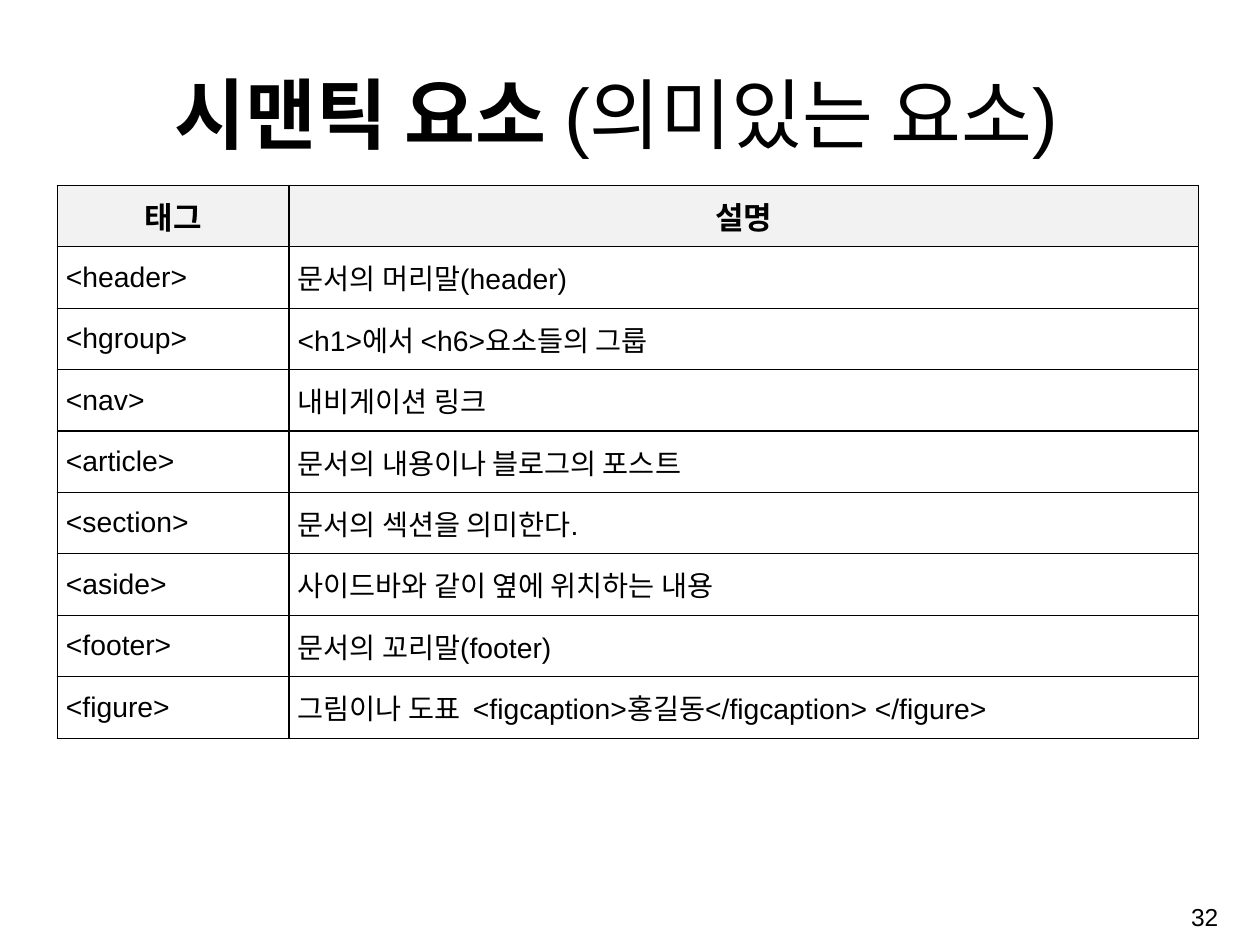
from lxml.etree import SubElement
from pptx import Presentation
from pptx.dml.color import RGBColor
from pptx.enum.text import MSO_ANCHOR as Anchor, MSO_AUTO_SIZE as AutoSize, PP_ALIGN as Align
from pptx.oxml.ns import qn
from pptx.util import Inches, Pt

TITLE_RUNS = [("시맨틱 요소 ", True), ("(의미있는 요소)", False)]
HEADINGS = ("태그", "설명")
TAGS = [
    ("<header>", "문서의 머리말(header)"),
    ("<hgroup>", "<h1>에서 <h6>요소들의 그룹"),
    ("<nav>", "내비게이션 링크"),
    ("<article>", "문서의 내용이나 블로그의 포스트"),
    ("<section>", "문서의 섹션을 의미한다."),
    ("<aside>", "사이드바와 같이 옆에 위치하는 내용"),
    ("<footer>", "문서의 꼬리말(footer)"),
    ("<figure>", "그림이나 도표  <figcaption>홍길동</figcaption> </figure>"),
]


def color(value):
    return RGBColor.from_string(value)


class SlideBuilder:
    font = "Arial"
    ink = "000000"
    header_fill = "F2F2F2"

    def __init__(self, page):
        self.page = page

    def style(self, span, size, bold=False):
        span.font.name = self.font
        span.font.size = Pt(size)
        span.font.bold = bold
        span.font.color.rgb = color(self.ink)

    def title(self, runs, left, top, width, height, size):
        box = self.page.shapes.title
        box.left, box.top = Inches(left), Inches(top)
        box.width, box.height = Inches(width), Inches(height)
        frame = box.text_frame
        frame.auto_size = AutoSize.NONE
        frame.vertical_anchor = Anchor.BOTTOM
        para = frame.paragraphs[0]
        para.alignment = Align.CENTER
        for text, bold in runs:
            span = para.add_run()
            span.text = text
            self.style(span, size, bold)

    def label(self, text, left, top, width, height, size, align):
        box = self.page.shapes.add_textbox(Inches(left), Inches(top), Inches(width), Inches(height))
        frame = box.text_frame
        frame.word_wrap = True
        frame.vertical_anchor = Anchor.MIDDLE
        frame.text = text
        para = frame.paragraphs[0]
        para.alignment = align
        self.style(para.runs[0], size)

    def borders(self, cell, width=1):
        """Draw all four sides; lines must precede the fill in the cell properties."""
        properties = cell._tc.get_or_add_tcPr()
        for side in ("lnL", "lnR", "lnT", "lnB"):
            line = SubElement(properties, qn(f"a:{side}"), w=str(Pt(width)))
            fill = SubElement(line, qn("a:solidFill"))
            SubElement(fill, qn("a:srgbClr"), val=self.ink)

    def cell(self, cell, text, heading):
        cell.margin_left = cell.margin_right = Inches(0.09)
        cell.margin_top = cell.margin_bottom = Inches(0.03)
        cell.vertical_anchor = Anchor.MIDDLE
        self.borders(cell)
        if heading:
            cell.fill.solid()
            cell.fill.fore_color.rgb = color(self.header_fill)
        else:
            cell.fill.background()
        cell.text = text
        para = cell.text_frame.paragraphs[0]
        para.alignment = Align.CENTER if heading else Align.JUSTIFY
        self.style(para.runs[0], 23 if heading else 21, heading)

    def table(self, rows, left, top, column_widths, row_height):
        table = self.page.shapes.add_table(
            len(rows), len(column_widths), Inches(left), Inches(top),
            Inches(sum(column_widths)), Inches(row_height * len(rows))).table
        table.horz_banding = False
        for column, width in zip(table.columns, column_widths):
            column.width = Inches(width)
        for row_index, texts in enumerate(rows):
            table.rows[row_index].height = Inches(row_height)
            for column_index, text in enumerate(texts):
                self.cell(table.cell(row_index, column_index), text, row_index == 0)


def main():
    deck = Presentation()
    deck.slide_width, deck.slide_height = Inches(12.99), Inches(9.74)
    title_only = deck.slide_layouts[5]
    builder = SlideBuilder(deck.slides.add_slide(title_only))
    builder.title(TITLE_RUNS, 1.05, 0.61, 10.61, 1.08, 57.2)
    builder.table([HEADINGS, *TAGS], 0.59, 1.91, (2.39, 9.38), 5.7 / 9)
    builder.label("32", 9.98, 9.15, 2.68, 0.6, 18.2, Align.RIGHT)
    deck.save("out.pptx")


if __name__ == "__main__":
    main()
